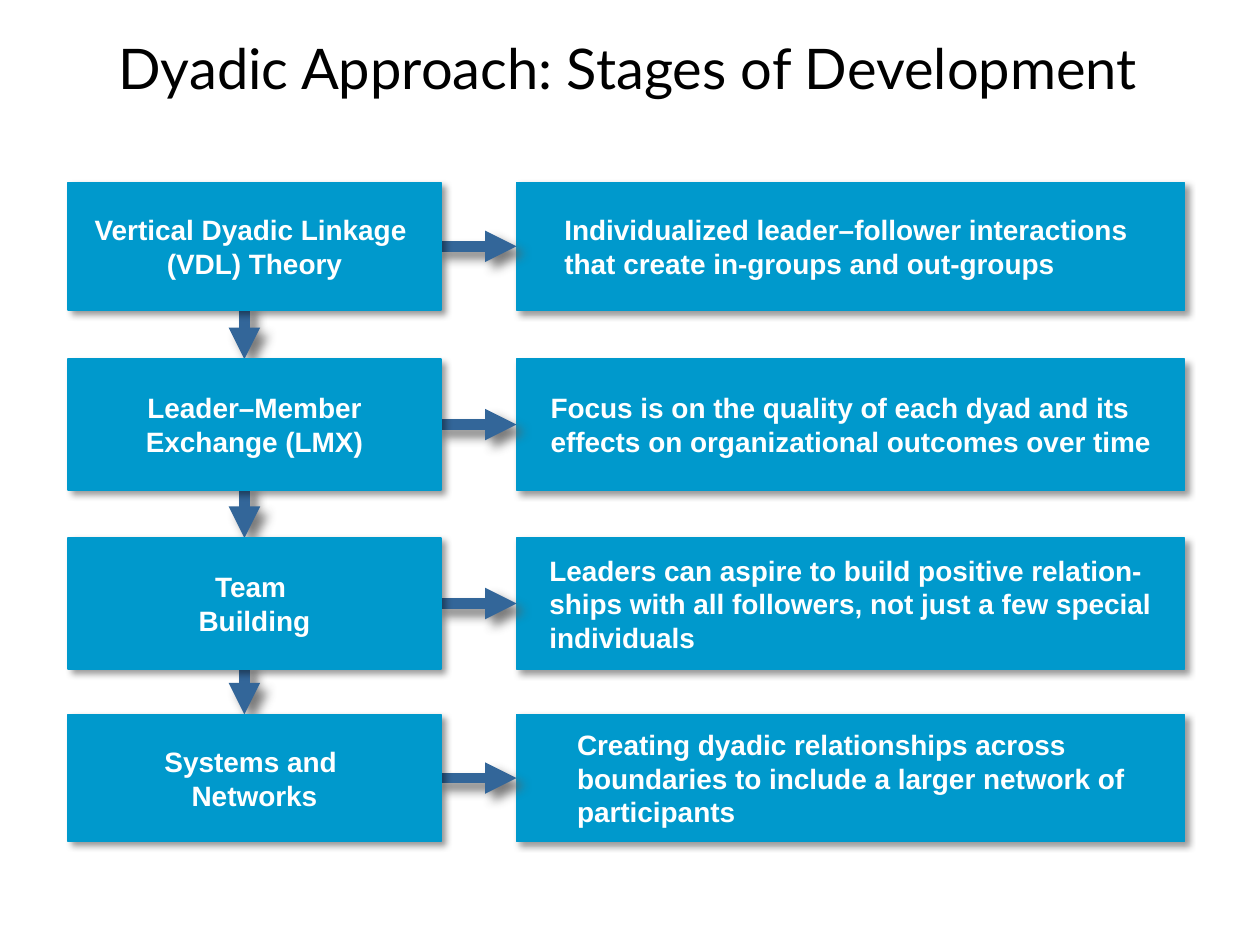
from lxml import etree
from pptx import Presentation
from pptx.dml.color import RGBColor
from pptx.enum import shapes, text
from pptx.oxml import ns
from pptx.util import Inches, Pt

# Content
TITLE = "Dyadic Approach: Stages of Development"
# theory, description, top, height, left inset of the description
STAGES = [
    ("Vertical Dyadic Linkage \v(VDL) Theory",
     "Individualized leader–follower interactions \vthat create in-groups and out-groups",
     1.45, 1.01, 0.38),
    ("Leader–Member\nExchange (LMX)",
     "Focus is on the quality of each dyad and its effects on organizational outcomes over time",
     2.85, 1.04, 0.27),
    ("Team \vBuilding",
     "Leaders can aspire to build positive relation-ships with all followers, "
     "not just a few special individuals",
     4.27, 1.04, 0.26),
    ("Systems and \vNetworks",
     "Creating dyadic relationships across \vboundaries to include a larger network of participants",
     5.67, 1.01, 0.48),
]
COLORS = {"box": "0099CC", "arrow": "336699", "text": "FFFFFF", "title": "000000",
          "box_shadow": "000000", "arrow_shadow": "5F5F5F"}
THEORY_LEFT, THEORY_WIDTH = 0.54, 2.96
DETAIL_LEFT, DETAIL_WIDTH = 4.1, 5.3
DOWN_X = 1.94


def rgb(name):
    return RGBColor.from_string(COLORS[name])


def add_shadow(parent, color, alpha, blur, distance):
    effects = parent.find(ns.qn("a:effectLst"))
    if effects is None:
        effects = etree.SubElement(parent, ns.qn("a:effectLst"))
    shadow = etree.SubElement(effects, ns.qn("a:outerShdw"), blurRad=str(Pt(blur)),
                              dist=str(Pt(distance)), dir="2700000", algn="tl", rotWithShape="0")
    tint = etree.SubElement(shadow, ns.qn("a:srgbClr"), val=COLORS[color])
    etree.SubElement(tint, ns.qn("a:alpha"), val=str(alpha * 1000))


def write(frame, words, size=16, font="Arial", color="text", bold=True,
          align=text.PP_ALIGN.CENTER, inset_left=0.1, inset_right=0.1):
    frame.text = words
    frame.word_wrap = True
    frame.vertical_anchor = text.MSO_ANCHOR.MIDDLE
    frame.margin_left, frame.margin_right = Inches(inset_left), Inches(inset_right)
    for paragraph in frame.paragraphs:
        paragraph.alignment = align
        for run in paragraph.runs:
            run.font.size, run.font.name, run.font.bold = Pt(size), font, bold
            run.font.color.rgb = rgb(color)


def add_box(left, top, width, height, words, **style):
    box = slide.shapes.add_shape(shapes.MSO_SHAPE.RECTANGLE, Inches(left), Inches(top),
                                 Inches(width), Inches(height))
    box.fill.solid()
    box.fill.fore_color.rgb = rgb("box")
    box.line.color.rgb = rgb("box")
    box.line.width = Pt(0.75)
    box.shadow.inherit = False
    add_shadow(box.element.spPr, "box_shadow", 40, 4, 3)
    write(box.text_frame, words, **style)


def add_arrow(x1, y1, x2, y2):
    arrow = slide.shapes.add_connector(shapes.MSO_CONNECTOR.STRAIGHT, Inches(x1), Inches(y1),
                                       Inches(x2), Inches(y2))
    arrow.line.color.rgb = rgb("arrow")
    arrow.line.width = Pt(6)
    properties = arrow.element.spPr
    etree.SubElement(properties.find(ns.qn("a:ln")), ns.qn("a:tailEnd"), type="triangle")
    add_shadow(properties, "arrow_shadow", 82, 6, 6)


deck = Presentation()
deck.slide_width, deck.slide_height = Inches(10), Inches(7.5)
slide = deck.slides.add_slide(deck.slide_layouts[5])

# Title
title = slide.shapes.title
title.left, title.top, title.width, title.height = map(Inches, (0.57, 0.22, 8.83, 0.63))
write(title.text_frame, TITLE, size=32, font="Lato", color="title", bold=False)
title_fill = next(title.element.iter(ns.qn("a:solidFill")))
title_fill.addnext(etree.Element(ns.qn("a:effectLst")))
add_shadow(title_fill.getparent(), "box_shadow", 43, 3, 3)

# Descriptions
for _, detail, top, height, inset in STAGES:
    add_box(DETAIL_LEFT, top, DETAIL_WIDTH, height, detail,
            align=text.PP_ALIGN.LEFT, inset_left=inset, inset_right=0.2)

# Arrows across, then down
for _, _, top, height, _ in STAGES:
    add_arrow(3.46, top + height / 2, DETAIL_LEFT, top + height / 2)
for (_, _, top, height, _), following in zip(STAGES, STAGES[1:]):
    add_arrow(DOWN_X, top + height - 0.05, DOWN_X, following[2])

# Theories
for theory, _, top, height, _ in STAGES:
    add_box(THEORY_LEFT, top, THEORY_WIDTH, height, theory)

deck.save("out.pptx")
